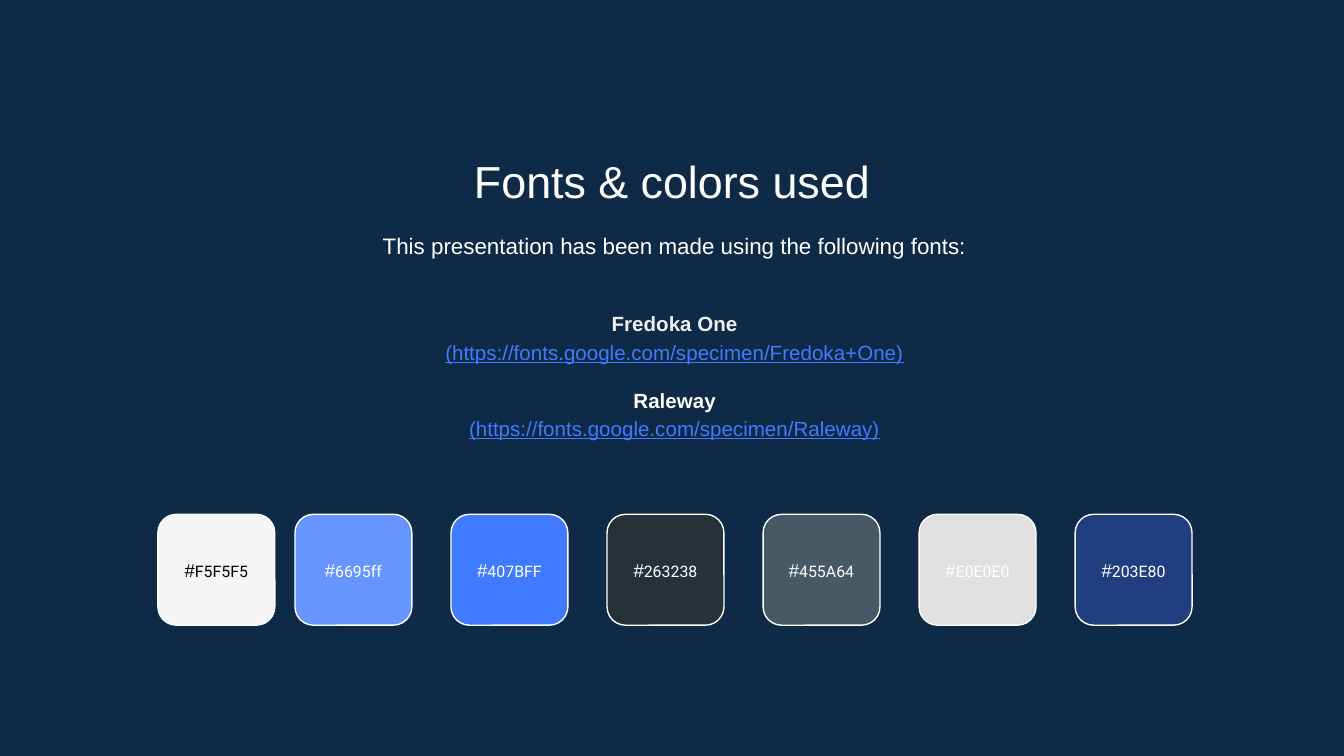
from pptx import Presentation
from pptx.dml.color import RGBColor
from pptx.enum.shapes import MSO_SHAPE as Shape
from pptx.enum.text import MSO_ANCHOR as Anchor, MSO_AUTO_SIZE as AutoSize, PP_ALIGN as Align
from pptx.oxml.ns import qn
from pptx.util import Inches, Pt
from lxml.etree import SubElement

COLORS = {"background": "0E2A47", "white": "FFFFFF", "black": "000000",
          "pale": "EFEFEF", "link": "407BFF"}
SWATCHES = ["F5F5F5", "6695ff", "407BFF", "263238", "455A64", "E0E0E0", "203E80"]
FONTS = [("Fredoka One", "pale", "Fredoka+One"), ("Raleway", "white", "Raleway")]
CELL = 0.1
TITLE_AREA = (11.45, 10.45, 77.1, 5.3)
INTRO_AREA = (11.65, 15.95, 77.1, 4.8)
FONTS_AREA = (11.65, 21, 77.1, 13.7)
SWATCH_WIDTH, SWATCH_HEIGHT, SWATCH_ROW = 8.7, 8.25, 38.27
LABEL_HEIGHT, LABEL_ROW = 4.8, 40
FIRST_COLUMN, SECOND_COLUMN, SWATCH_PITCH = 11.75, 21.95, 11.61


class SlideBuilder:
    """Style and current slide, measured on a grid of tenth-inch cells."""

    def __init__(self, presentation):
        self.slide = presentation.slides.add_slide(presentation.slide_layouts[3])
        fill = self.slide.background.fill
        fill.solid()
        fill.fore_color.rgb = RGBColor.from_string(COLORS["background"])

    def cells(self, area):
        return [Inches(value * CELL) for value in area]

    def style(self, font, size, color, name="Arial", bold=False, underline=False):
        font.name, font.size = name, Pt(size)
        font.bold, font.underline = bold, underline
        font.color.rgb = RGBColor.from_string(COLORS[color])

    def frame(self, shape, anchor):
        text_frame = shape.text_frame
        text_frame.word_wrap = True
        text_frame.auto_size = AutoSize.NONE
        text_frame.vertical_anchor = anchor
        text_frame.margin_left = text_frame.margin_right = Inches(0.1)
        text_frame.margin_top = text_frame.margin_bottom = Inches(0.1)
        return text_frame

    def placeholder(self, index, area, lines, anchor=Anchor.TOP, spacing=1.15):
        shape = self.slide.placeholders[index]
        shape.left, shape.top, shape.width, shape.height = self.cells(area)
        text_frame = self.frame(shape, anchor)
        text_frame.text = "\n".join(text for text, gap, look in lines)
        for paragraph, (text, gap, look) in zip(text_frame.paragraphs, lines):
            paragraph.alignment = Align.CENTER
            paragraph.line_spacing = spacing
            paragraph.space_before = Pt(gap)
            properties = paragraph._p.get_or_add_pPr()
            properties.set("marL", "0")
            properties.set("indent", "0")
            SubElement(properties, qn("a:buNone"))
            self.style(paragraph.runs[0].font, **look)

    def swatch(self, column, code, text_color):
        group = self.slide.shapes.add_group_shape()
        tile = group.shapes.add_shape(Shape.ROUNDED_RECTANGLE, *self.cells(
            (column, SWATCH_ROW, SWATCH_WIDTH, SWATCH_HEIGHT)))
        tile.shadow.inherit = False
        tile.fill.solid()
        tile.fill.fore_color.rgb = RGBColor.from_string(code.upper())
        tile.line.color.rgb = RGBColor.from_string(COLORS["white"])
        tile.line.width = Pt(0.75)
        label = group.shapes.add_textbox(*self.cells(
            (column, LABEL_ROW, SWATCH_WIDTH, LABEL_HEIGHT)))
        paragraph = self.frame(label, Anchor.MIDDLE).paragraphs[0]
        paragraph.alignment = Align.CENTER
        for text, size, name in (("#", 10, "Arial"), (code, 8.5, "Roboto")):
            run = paragraph.add_run()
            run.text = text
            self.style(run.font, size, text_color, name)


def main():
    presentation = Presentation()
    presentation.slide_width = Inches(10)
    presentation.slide_height = presentation.slide_width * 9 // 16
    builder = SlideBuilder(presentation)
    builder.placeholder(0, TITLE_AREA, [
        ("Fonts & colors used", 0, {"size": 24, "color": "white"})], spacing=1)
    builder.placeholder(1, INTRO_AREA, [
        ("This presentation has been made using the following fonts:", 0,
         {"size": 12, "color": "white"})])
    lines = []
    for name, color, address in FONTS:
        lines.append((name, 10.6 if lines else 0,
                      {"size": 11, "color": color, "bold": True}))
        lines.append((f"(https://fonts.google.com/specimen/{address})", 0,
                      {"size": 11, "color": "link", "underline": True}))
    builder.placeholder(2, FONTS_AREA, lines, Anchor.MIDDLE)
    builder.swatch(FIRST_COLUMN, SWATCHES[0], "black")
    for position, code in enumerate(SWATCHES[1:]):
        builder.swatch(SECOND_COLUMN + position * SWATCH_PITCH, code, "white")
    presentation.save("out.pptx")


if __name__ == "__main__":
    main()
